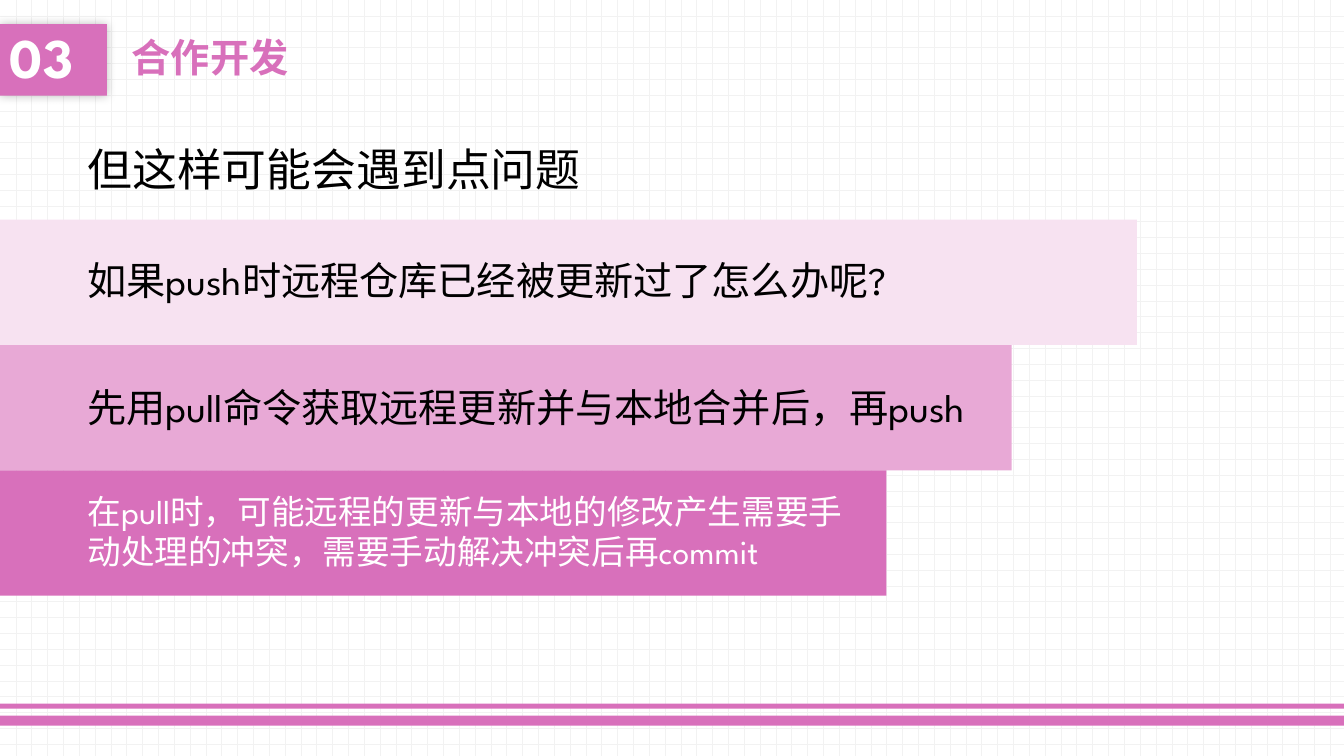
from dataclasses import dataclass

from lxml import etree
from pptx import Presentation
from pptx.dml.color import RGBColor
from pptx.enum.dml import MSO_PATTERN
from pptx.enum.shapes import MSO_SHAPE
from pptx.enum.text import MSO_ANCHOR as Anchor, MSO_AUTO_SIZE as AutoSize
from pptx.oxml.ns import qn
from pptx.shapes.autoshape import Shape
from pptx.slide import Slide
from pptx.util import Emu, Inches, Pt

COLORS = {
    "pink": "D870BB", "mid": "E8A9D6", "pale": "F7E2F1",
    "grid": "F2F2F2", "white": "FFFFFF", "black": "000000",
}
FONT = "League Spartan"

# The slide is 160 columns by 90 rows of 1/12 inch
CELL = Inches(1) / 12
COLS, ROWS = 160, 90
MARGIN = 9.24
BAR_TOP, BAR_WIDTH, BAR_STEP = 26.16, 135.36, 14.92


@dataclass
class Box:
    col: float
    row: float
    cols: float
    rows: float

    def emu(self) -> list[Emu]:
        return [Emu(round(v * CELL)) for v in (self.col, self.row, self.cols, self.rows)]


@dataclass
class Label:
    text: str
    box: Box
    size: int
    color: str = "black"
    bold: bool = False
    heading: bool = False
    wrap: bool = True


def rgb(name: str) -> RGBColor:
    return RGBColor.from_string(COLORS[name])


def add_rect(s: Slide, box: Box, color: str) -> Shape:
    sp = s.shapes.add_shape(MSO_SHAPE.RECTANGLE, *box.emu())
    sp.shadow.inherit = False
    sp.fill.solid()
    sp.fill.fore_color.rgb = rgb(color)
    sp.line.fill.background()
    return sp


def add_glow_shadow(sp: Shape, blur: int, opacity: int) -> None:
    effects = sp._element.spPr.find(qn("a:effectLst"))
    shadow = etree.SubElement(effects, qn("a:outerShdw"), blurRad=str(Pt(blur)),
                              dist="0", dir="0", algn="ctr", rotWithShape="0")
    clr = etree.SubElement(shadow, qn("a:srgbClr"), val=COLORS["black"])
    etree.SubElement(clr, qn("a:alpha"), val=str(opacity * 1000))


def add_label(s: Slide, label: Label) -> None:
    tf = s.shapes.add_textbox(*label.box.emu()).text_frame
    tf.word_wrap = label.wrap
    tf.vertical_anchor = Anchor.MIDDLE if label.heading else Anchor.TOP
    tf.auto_size = AutoSize.NONE if label.heading else AutoSize.SHAPE_TO_FIT_TEXT
    p = tf.paragraphs[0]
    if label.heading:
        p.line_spacing = 0.9
    r = p.add_run()
    r.text = label.text
    r.font.name = FONT
    r.font.size = Pt(label.size)
    r.font.bold = label.bold
    r.font.color.rgb = rgb(label.color)


BADGE = Box(0, 2.88, 12.72, 8.52)
FOOTER_LINES = [Box(0, 85.2, COLS, 1.2), Box(0, 83.76, COLS, 0.6)]
BAR_COLORS = ["pale", "mid", "pink"]
LABELS = [
    Label("03", BADGE, 40, "white", bold=True, heading=True),
    Label("合作开发", Box(14.52, 2.88, 84.48, 8.52), 28, "pink", bold=True, heading=True),
    Label("如果push时远程仓库已经被更新过了怎么办呢?", Box(MARGIN, 29.9, 106.3, 6.84), 28),
    Label("先用pull命令获取远程更新并与本地合并后，再push",
          Box(MARGIN, 45, 112.3, 6.84), 28),
    Label("在pull时，可能远程的更新与本地的修改产生需要手动处理的冲突，需要手动解决冲突后再commit",
          Box(MARGIN, 57.84, 94.2, 10.92), 24, "white"),
    Label("但这样可能会遇到点问题", Box(MARGIN, 16.32, 61.7, 7.68), 32, wrap=False),
]


def main() -> None:
    prs = Presentation()
    prs.slide_width, prs.slide_height = Emu(round(COLS * CELL)), Emu(round(ROWS * CELL))
    s = prs.slides.add_slide(prs.slide_layouts[6])

    # Squared-paper background
    fill = s.background.fill
    fill.patterned()
    fill.pattern = MSO_PATTERN.DOTTED_GRID
    fill.fore_color.rgb = rgb("grid")
    fill.back_color.rgb = rgb("white")

    # Footer lines and section badge
    for line in FOOTER_LINES:
        add_rect(s, line, "pink")
    add_glow_shadow(add_rect(s, BADGE, "pink"), blur=7, opacity=25)

    # Stepped bars: each is shorter by its own height
    for i, color in enumerate(BAR_COLORS):
        add_rect(s, Box(0, BAR_TOP + i * BAR_STEP, BAR_WIDTH - i * BAR_STEP, BAR_STEP), color)

    # Texts
    for label in LABELS:
        add_label(s, label)

    prs.save("out.pptx")


if __name__ == "__main__":
    main()
